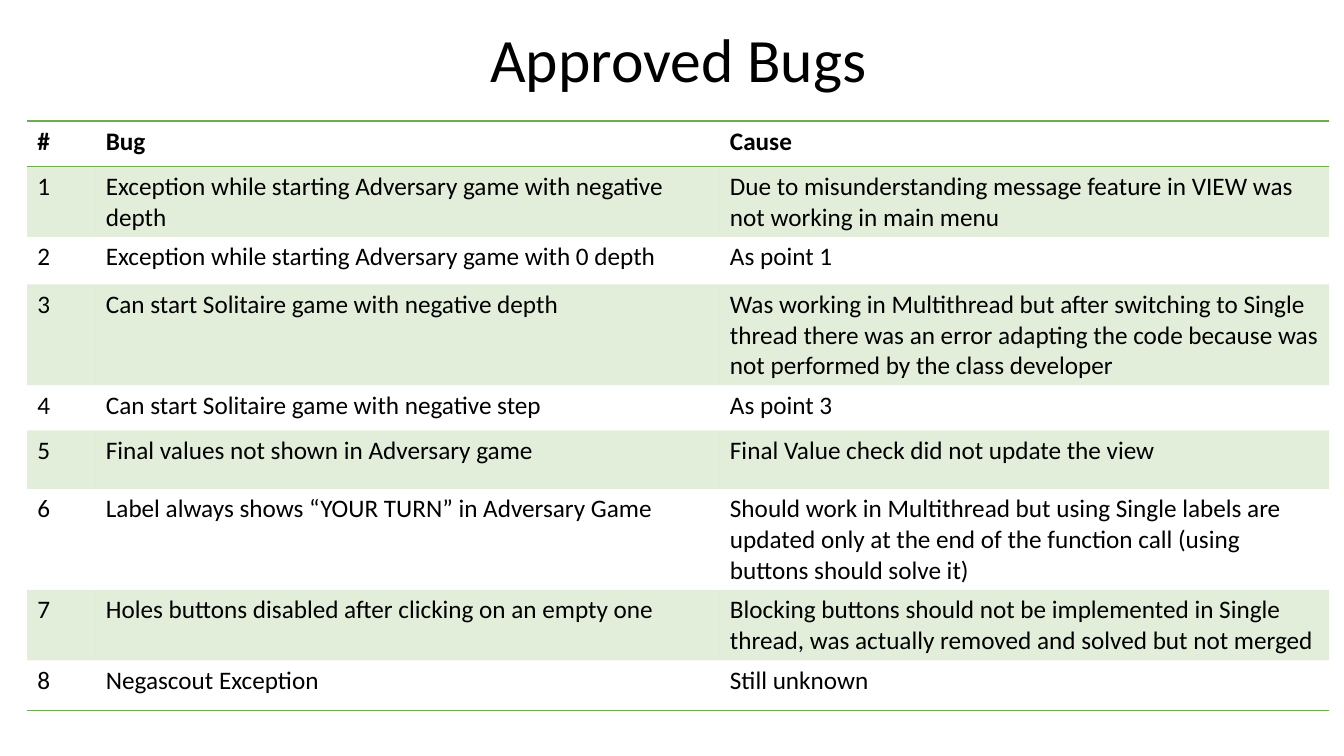
from dataclasses import dataclass

from lxml import etree
from pptx import Presentation
from pptx.dml.color import RGBColor
from pptx.enum.text import MSO_ANCHOR, PP_ALIGN
from pptx.oxml.ns import qn
from pptx.util import Emu, Inches, Pt

CENTER = PP_ALIGN.CENTER
MIDDLE = MSO_ANCHOR.MIDDLE
PLAIN_TABLE_STYLE = "{2D5ABB26-0587-4C30-8999-92F81FD0307C}"
SLIDE_W, SLIDE_H = Inches(13.33), Inches(7.5)
GRID_COLS, GRID_ROWS = 1333, 750


@dataclass(frozen=True)
class Theme:
    font: str = "Calibri"
    text: str = "000000"
    accent: str = "70AD47"
    band_opacity: int = 20
    rule_pt: float = 1
    title_pt: float = 44
    body_pt: float = 18


@dataclass(frozen=True)
class Area:
    """A place on the slide in grid columns and rows."""
    left: int
    top: int
    width: int
    height: int

    def box(self) -> tuple[Emu, Emu, Emu, Emu]:
        return cols(self.left), rows(self.top), cols(self.width), rows(self.height)


@dataclass(frozen=True)
class Bug:
    title: str
    cause: str
    height: int


THEME = Theme()
TITLE_AREA = Area(98, 13, 1150, 98)
TABLE_LEFT, TABLE_TOP = 27, 120
COLUMN_WIDTHS = (68, 619, 604)
HEADINGS = ("#", "Bug", "Cause")
HEADING_HEIGHT = 45
BUGS = (
    Bug("Exception while starting Adversary game with negative depth",
        "Due to misunderstanding message feature in VIEW was not working in main menu", 52),
    Bug("Exception while starting Adversary game with 0 depth", "As point 1", 47),
    Bug("Can start Solitaire game with negative depth",
        "Was working in Multithread but after switching to Single thread there was an error "
        "adapting the code because was not performed by the class developer", 51),
    Bug("Can start Solitaire game with negative step", "As point 3", 45),
    Bug("Final values not shown in Adversary game",
        "Final Value check did not update the view", 58),
    Bug("Label always shows “YOUR TURN” in Adversary Game",
        "Should work in Multithread but using Single labels are updated only at the end of "
        "the function call (using buttons should solve it)", 56),
    Bug("Holes buttons disabled after clicking on an empty one",
        "Blocking buttons should not be implemented in Single thread, was actually removed "
        "and solved but not merged", 53),
    Bug("Negascout Exception", "Still unknown", 50),
)


def cols(n: int) -> Emu:
    return Emu(round(SLIDE_W * n / GRID_COLS))


def rows(n: int) -> Emu:
    return Emu(round(SLIDE_H * n / GRID_ROWS))


def write(tf, text: str, size: float, bold: bool = False) -> None:
    tf.text = text
    font = tf.paragraphs[0].runs[0].font
    font.name, font.size, font.bold = THEME.font, Pt(size), bold
    font.color.rgb = RGBColor.from_string(THEME.text)


def add_title(s, text: str) -> None:
    tf = s.shapes.add_textbox(*TITLE_AREA.box()).text_frame
    tf.word_wrap = True
    tf.vertical_anchor = MIDDLE
    write(tf, text, THEME.title_pt)
    p = tf.paragraphs[0]
    p.alignment, p.line_spacing = CENTER, 0.9


def add_rule(cell, side: str) -> None:
    """Draw the accent line on one side of a cell: lnT or lnB."""
    tc_pr = cell._tc.get_or_add_tcPr()
    ln = etree.SubElement(tc_pr, qn(f"a:{side}"), w=str(Pt(THEME.rule_pt)))
    fill = etree.SubElement(ln, qn("a:solidFill"))
    etree.SubElement(fill, qn("a:srgbClr"), val=THEME.accent)


def shade(cell) -> None:
    """Fill a banded cell with the translucent accent colour."""
    cell.fill.solid()
    cell.fill.fore_color.rgb = RGBColor.from_string(THEME.accent)
    color = cell._tc.tcPr.find(f"{qn('a:solidFill')}/{qn('a:srgbClr')}")
    etree.SubElement(color, qn("a:alpha"), val=str(THEME.band_opacity * 1000))


def add_bug_table(s, bugs: tuple[Bug, ...]) -> None:
    lines = [HEADINGS] + [(str(i), b.title, b.cause) for i, b in enumerate(bugs, 1)]
    heights = [HEADING_HEIGHT] + [b.height for b in bugs]
    area = Area(TABLE_LEFT, TABLE_TOP, sum(COLUMN_WIDTHS), sum(heights))
    table = s.shapes.add_table(len(lines), len(HEADINGS), *area.box()).table
    table._tbl.tblPr.find(qn("a:tableStyleId")).text = PLAIN_TABLE_STYLE
    for column, width in zip(table.columns, COLUMN_WIDTHS):
        column.width = cols(width)
    last = len(lines) - 1
    for i, (line, height) in enumerate(zip(lines, heights)):
        table.rows[i].height = rows(height)
        for cell, text in zip(table.rows[i].cells, line):
            write(cell.text_frame, text, THEME.body_pt, bold=i == 0)
            if i == 0:
                add_rule(cell, "lnT")
            if i in (0, last):
                add_rule(cell, "lnB")
            if i % 2:
                shade(cell)
            else:
                cell.fill.background()


def main() -> None:
    prs = Presentation()
    prs.slide_width, prs.slide_height = SLIDE_W, SLIDE_H
    s = prs.slides.add_slide(prs.slide_layouts[6])
    add_title(s, "Approved Bugs")
    add_bug_table(s, BUGS)
    prs.save("out.pptx")


if __name__ == "__main__":
    main()
